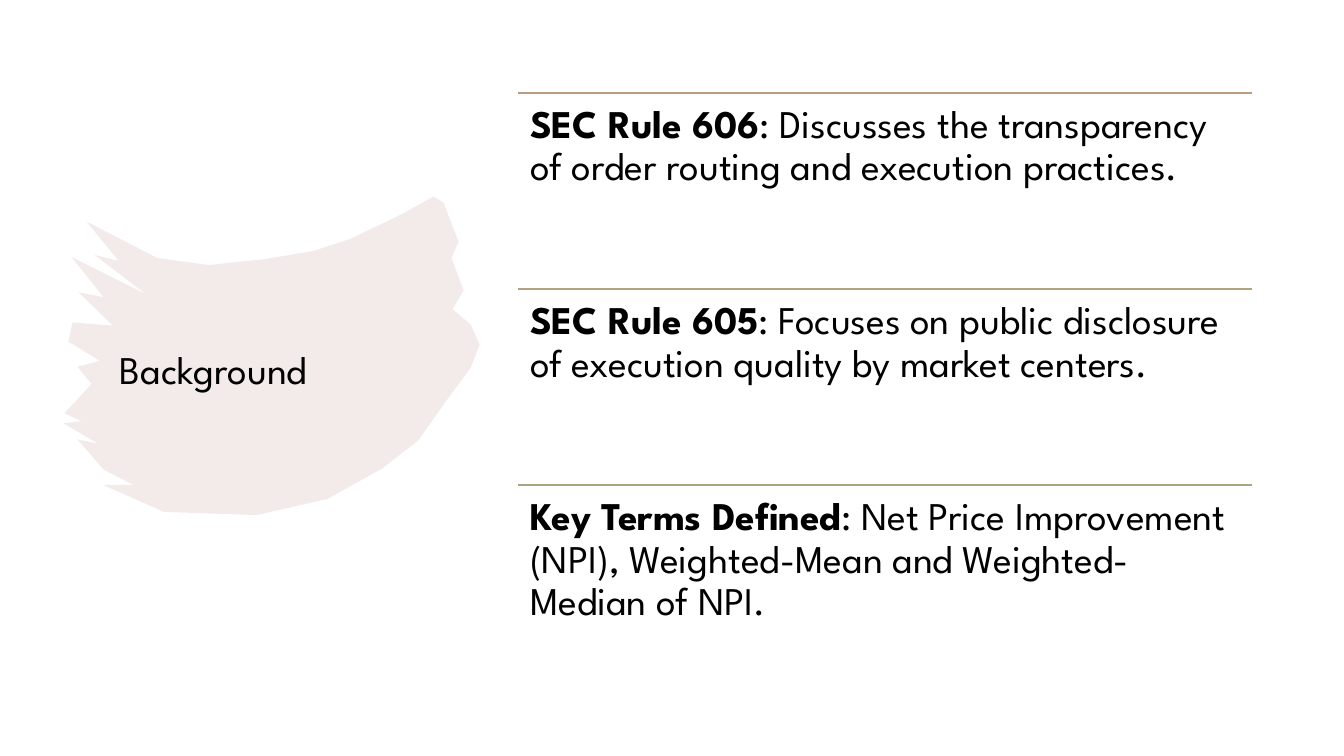
"""Build the background slide: a brush stroke title and three ruled statements."""
import dataclasses

import lxml.etree
import pptx
import pptx.dml.color
import pptx.enum.shapes
import pptx.enum.text
import pptx.oxml.ns
import pptx.shapes.autoshape
import pptx.slide
import pptx.util

Cm = pptx.util.Cm
FONT = "League Spartan"
ROW_LEFT, ROW_TOP, ROW_WIDTH, ROW_HEIGHT = 13.06, 2.34, 18.48, 4.94
BRUSH_UNIT = Cm(0.0254)
BRUSH_OUTLINE = (
    (430, 195), (440, 201), (455, 240), (448, 256), (460, 288), (449, 307),
    (467, 322), (476, 342), (467, 365), (444, 396), (415, 437), (379, 465),
    (325, 495), (255, 511), (163, 508), (127, 492), (102, 481), (132, 481),
    (103, 466), (77, 436), (97, 440), (63, 420), (81, 418), (64, 410),
    (91, 381), (77, 364), (99, 358), (68, 339), (72, 320), (112, 323),
    (78, 290), (103, 295), (71, 255), (145, 292), (94, 253), (118, 259),
    (86, 220), (156, 256), (207, 263), (264, 257), (311, 249), (348, 237),
    (400, 212),
)


@dataclasses.dataclass(frozen=True)
class Statement:
    """A bold term, its explanation and the colour of the rule above."""

    term: str
    explanation: str
    rule_color: str


STATEMENTS = (
    Statement(
        "SEC Rule 606",
        ": Discusses the transparency of order routing and execution practices.",
        "BA9C7F",
    ),
    Statement(
        "SEC Rule 605",
        ": Focuses on public disclosure of execution quality by market centers.",
        "B1A37F",
    ),
    Statement(
        "Key Terms Defined",
        ": Net Price Improvement (NPI), Weighted-Mean and Weighted-Median of NPI.",
        "A8A580",
    ),
)


def color(value: str) -> pptx.dml.color.RGBColor:
    """Turn a hex string into a colour."""
    return pptx.dml.color.RGBColor.from_string(value)


def add_text(
    page: pptx.slide.Slide,
    spans: tuple[tuple[str, bool], ...],
    *,
    left: float,
    top: float,
    width: float,
    height: float,
    inset: tuple[float, float],
    anchor: pptx.enum.text.MSO_ANCHOR,
) -> None:
    """Add a wrapped paragraph made of plain and bold spans."""
    box = page.shapes.add_textbox(Cm(left), Cm(top), Cm(width), Cm(height))
    frame = box.text_frame
    frame.word_wrap = True
    frame.vertical_anchor = anchor
    frame.margin_left = frame.margin_right = Cm(inset[0])
    frame.margin_top = frame.margin_bottom = Cm(inset[1])
    para = frame.paragraphs[0]
    para.line_spacing = 0.9
    for text, bold in spans:
        span = para.add_run()
        span.text = text
        span.font.name = FONT
        span.font.size = pptx.util.Pt(28)
        span.font.bold = bold
        span.font.color.rgb = color("000000")


def add_brush(page: pptx.slide.Slide) -> None:
    """Draw the translucent brush stroke."""
    builder = page.shapes.build_freeform(*BRUSH_OUTLINE[0], scale=float(BRUSH_UNIT))
    builder.add_line_segments(BRUSH_OUTLINE[1:], close=True)
    brush = builder.convert_to_shape()
    brush.shadow.inherit = False
    brush.line.fill.background()
    brush.fill.solid()
    brush.fill.fore_color.rgb = color("C69996")
    tint = brush._element.spPr.find(".//" + pptx.oxml.ns.qn("a:srgbClr"))
    lxml.etree.SubElement(tint, pptx.oxml.ns.qn("a:alpha"), val="20000")


def add_rule(page: pptx.slide.Slide, top: float, rule_color: str) -> None:
    """Draw the thin line above a statement."""
    rule = page.shapes.add_connector(
        pptx.enum.shapes.MSO_CONNECTOR.STRAIGHT,
        Cm(ROW_LEFT), Cm(top), Cm(ROW_LEFT + ROW_WIDTH), Cm(top),
    )
    rule.line.color.rgb = color(rule_color)
    rule.line.width = pptx.util.Pt(1)
    lxml.etree.SubElement(rule._element.spPr, pptx.oxml.ns.qn("a:effectLst"))


def main() -> None:
    """Build and save the deck."""
    deck = pptx.Presentation()
    deck.slide_width, deck.slide_height = Cm(33.87), Cm(19.05)
    page = deck.slides.add_slide(deck.slide_layouts[6])
    add_brush(page)
    add_text(
        page, (("Background", False),),
        left=2.77, top=7.29, width=8.36, height=4.17,
        inset=(0.25, 0.13), anchor=pptx.enum.text.MSO_ANCHOR.MIDDLE,
    )
    for row, statement in enumerate(STATEMENTS):
        top = ROW_TOP + row * ROW_HEIGHT
        add_rule(page, top, statement.rule_color)
        add_text(
            page, ((statement.term, True), (statement.explanation, False)),
            left=ROW_LEFT, top=top, width=ROW_WIDTH, height=ROW_HEIGHT,
            inset=(0.3, 0.3), anchor=pptx.enum.text.MSO_ANCHOR.TOP,
        )
    deck.save("out.pptx")


if __name__ == "__main__":
    main()
